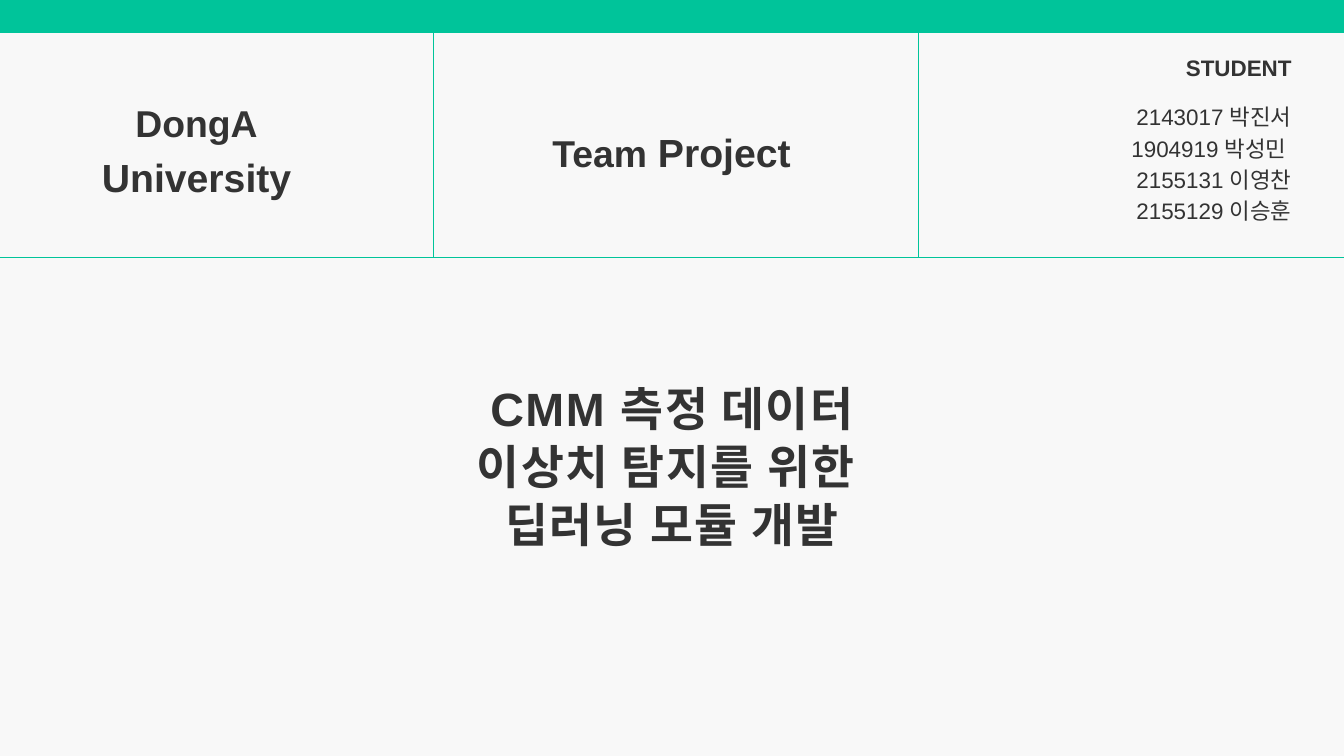
import pptx
import pptx.dml.color
import pptx.enum.shapes
import pptx.enum.text
import pptx.util
from dataclasses import dataclass

Inches = pptx.util.Inches
Pt = pptx.util.Pt
Color = pptx.dml.color.RGBColor
Align = pptx.enum.text.PP_ALIGN


@dataclass(frozen=True)
class Theme:
    font: str = "Arial"
    paper: Color = Color.from_string("F8F8F8")
    accent: Color = Color.from_string("00C49A")
    ink: Color = Color.from_string("333333")
    title: int = 50
    heading: int = 42
    heading_lead: int = 40
    small: int = 24
    title_leading: float = 62.2
    heading_leading: float = 58.8
    small_leading: float = 33.6
    title_tracking: float = 1.6
    rule: float = 1.5


THEME = Theme()
PAGE_WIDTH, PAGE_HEIGHT = 20, 11.25
BAND_HEIGHT = 0.49
HEADER_BOTTOM = 3.83
DIVIDERS = (6.45, 13.67)


def add_text(page, box, lines, align, leading, bold=True, tracking=0):
    """Place lines of text; each line is a list of (words, size) spans."""
    frame = page.shapes.add_textbox(*map(Inches, box)).text_frame
    layout = {"margin_left": 0, "margin_top": 0, "margin_right": 0, "margin_bottom": 0,
              "word_wrap": True,
              "auto_size": pptx.enum.text.MSO_AUTO_SIZE.SHAPE_TO_FIT_TEXT}
    for name, value in layout.items():
        setattr(frame, name, value)
    for index, line in enumerate(lines):
        para = frame.paragraphs[0] if index == 0 else frame.add_paragraph()
        para.alignment = align
        para.line_spacing = Pt(leading)
        for words, size in line:
            span = para.add_run()
            span.text = words
            for name, value in {"name": THEME.font, "size": Pt(size), "bold": bold}.items():
                setattr(span.font, name, value)
            span.font.color.rgb = THEME.ink
            if tracking:
                span.font._element.set("spc", str(round(tracking * 100)))


def add_rule(page, start, end):
    rule = page.shapes.add_connector(pptx.enum.shapes.MSO_CONNECTOR.STRAIGHT,
                                     *map(Inches, start + end))
    rule.line.color.rgb = THEME.accent
    rule.line.width = Pt(THEME.rule)
    rule._element.spPr.append(pptx.oxml.parse_xml(
        '<a:effectLst xmlns:a="http://schemas.openxmlformats.org/drawingml/2006/main"/>'))


def add_band(page, box):
    band = page.shapes.add_shape(pptx.enum.shapes.MSO_SHAPE.RECTANGLE, *map(Inches, box))
    band.shadow.inherit = False
    band.fill.solid()
    band.fill.fore_color.rgb = THEME.accent
    band.line.fill.background()


def add_heading(page, box, lead, rest):
    add_text(page, box, [[(lead, THEME.heading_lead), (rest, THEME.heading)]],
             Align.CENTER, THEME.heading_leading)


def add_students(page, box, label, students):
    left, top, width, height = box
    label_height, list_offset = 0.43, 0.73
    add_text(page, (left, top, width, label_height), [[(label, THEME.small)]],
             Align.RIGHT, THEME.small_leading)
    add_text(page, (left, top + list_offset, width, height - list_offset),
             [[(student, THEME.small)] for student in students],
             Align.RIGHT, THEME.small_leading, bold=False)


def add_header(page, box):
    left, top, width, height = box
    bottom = top + height
    # Dividers and the rule below
    for x in DIVIDERS:
        add_rule(page, (left + x, bottom), (left + x, top))
    add_rule(page, (left, bottom), (left + width, bottom))
    # School, occasion and team
    add_heading(page, (left + 0.74, top + 0.86, 4.37, 1.63), "DongA", " University")
    add_heading(page, (left + 7.81, top + 1.3, 4.37, 0.75), "Team", " Project")
    add_students(page, (left + 16.04, top + 0.25, 3.18, 2.61), "STUDENT",
                 ["2143017 박진서", "1904919 박성민 ", "2155131 이영찬", "2155129 이승훈"])


def add_title(page, box):
    lines = ["CMM 측정 데이터", "이상치 탐지를 위한 ", "딥러닝 모듈 개발"]
    add_text(page, box, [[(line, THEME.title)] for line in lines], Align.CENTER,
             THEME.title_leading, tracking=THEME.title_tracking)


def main():
    deck = pptx.Presentation()
    deck.slide_width, deck.slide_height = Inches(PAGE_WIDTH), Inches(PAGE_HEIGHT)
    page = deck.slides.add_slide(deck.slide_layouts[6])
    page.background.fill.solid()
    page.background.fill.fore_color.rgb = THEME.paper

    add_title(page, (4.68, 5.62, 10.64, 2.61))
    add_header(page, (0, BAND_HEIGHT, PAGE_WIDTH, HEADER_BOTTOM - BAND_HEIGHT))
    add_band(page, (0, 0, PAGE_WIDTH, BAND_HEIGHT))
    deck.save("out.pptx")


if __name__ == "__main__":
    main()
